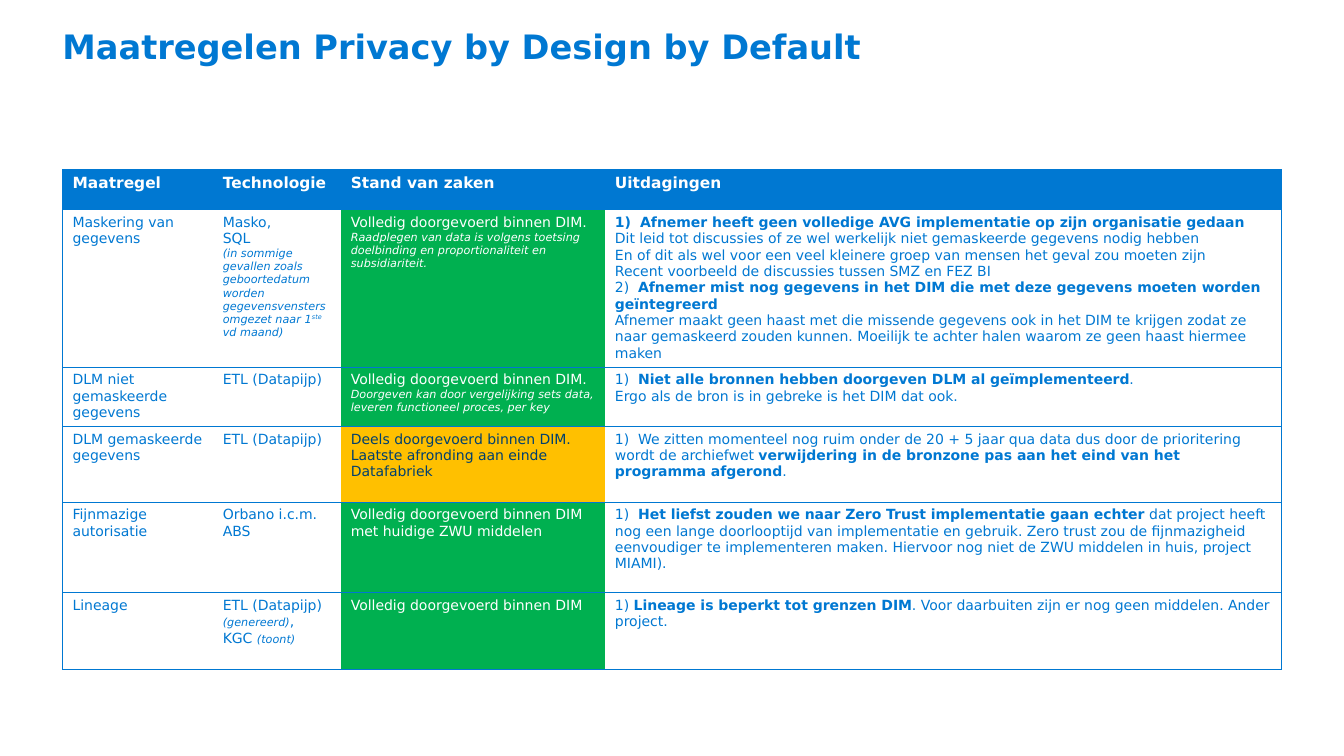
from pptx import Presentation
from pptx.dml.color import RGBColor
from pptx.oxml.ns import qn
from pptx.util import Inches, Pt
from lxml.etree import SubElement, Element

BLUE, NAVY, WHITE = "0078D2", "00406E", "FFFFFF"
GREEN, AMBER = "00B050", "FFC000"
BOLD, SMALL, RAISED = "bold", "small", "raised"

COLUMN_WIDTHS = [1.49, 1.27, 2.62, 6.71]
ROW_HEIGHTS = [0.4, 1.56, 0.59, 0.75, 0.9, 0.76]
HEADERS = ["Maatregel", "Technologie", "Stand van zaken", "Uitdagingen"]
DONE = "Volledig doorgevoerd binnen DIM"

# A cell is a list of paragraphs, a paragraph a list of runs: plain text or (text, style).
# Each row: measure, technology, status, challenges, status fill, status text colour.
MEASURES = [
    ([["Maskering van gegevens"]],
     [["Masko,"], ["SQL"],
      [("(in sommige gevallen zoals geboortedatum worden gegevensvensters omgezet naar 1", SMALL),
       ("ste ", RAISED), ("vd maand)", SMALL)]],
     [[DONE + ". ", ("Raadplegen van data is volgens toetsing doelbinding en "
                     "proportionaliteit en subsidiariteit.", SMALL)]],
     [[("Afnemer heeft geen volledige AVG implementatie op zijn organisatie gedaan", BOLD)],
      ["Dit leid tot discussies of ze wel werkelijk niet gemaskeerde gegevens nodig hebben"],
      ["En of dit als wel voor een veel kleinere groep van mensen het geval zou moeten zijn"],
      ["Recent voorbeeld de discussies tussen SMZ en FEZ BI"],
      ["2)  ", ("Afnemer mist nog gegevens in het DIM die met deze gegevens moeten worden "
                "geïntegreerd", BOLD)],
      ["Afnemer maakt geen haast met die missende gegevens ook in het DIM te krijgen zodat ze "
       "naar gemaskeerd zouden kunnen. Moeilijk te achter halen waarom ze geen haast hiermee "
       "maken"]],
     GREEN, WHITE),
    ([["DLM niet gemaskeerde gegevens"]],
     [["ETL (Datapijp)"]],
     [[DONE + "."], [("Doorgeven kan door vergelijking sets data, leveren functioneel proces, "
                      "per key", SMALL)]],
     [["1)  ", ("Niet alle bronnen hebben doorgeven DLM al geïmplementeerd", BOLD), "."],
      ["Ergo als de bron is in gebreke is het DIM dat ook."]],
     GREEN, WHITE),
    ([["DLM gemaskeerde gegevens"]],
     [["ETL (Datapijp)"]],
     [["Deels doorgevoerd binnen DIM. Laatste afronding aan einde Datafabriek"]],
     [["1)  We zitten momenteel nog ruim onder de 20 + 5 jaar qua data dus door de prioritering "
       "wordt de archiefwet ",
       ("verwijdering in de bronzone pas aan het eind van het programma afgerond", BOLD), "."]],
     AMBER, NAVY),
    ([["Fijnmazige autorisatie"]],
     [["Orbano i.c.m. ABS"]],
     [[DONE + " met huidige ZWU middelen"]],
     [["1)  ", ("Het liefst zouden we naar Zero Trust implementatie gaan echter ", BOLD),
       "dat project heeft nog een lange doorlooptijd van implementatie en gebruik. Zero trust "
       "zou de fijnmazigheid eenvoudiger te implementeren maken. Hiervoor nog niet de ZWU "
       "middelen in huis, project MIAMI)."]],
     GREEN, WHITE),
    ([["Lineage"]],
     [["ETL (Datapijp) ", ("(genereerd)", SMALL), ","], ["KGC ", ("(toont)", SMALL)]],
     [[DONE]],
     [["1) ", ("Lineage is beperkt tot grenzen DIM", BOLD),
       ". Voor daarbuiten zijn er nog geen middelen. Ander project."]],
     GREEN, WHITE),
]


def rgb(value):
    return RGBColor.from_string(value)


class SlideBuilder:
    font = "DejaVu Sans"

    def __init__(self, slide):
        self.slide = slide

    def add_text(self, frame, paragraphs, size, color):
        for index, runs in enumerate(paragraphs):
            paragraph = frame.paragraphs[0] if index == 0 else frame.add_paragraph()
            for item in runs:
                text, style = (item, None) if isinstance(item, str) else item
                run = paragraph.add_run()
                run.text = text
                small = style in (SMALL, RAISED)
                run.font.name = self.font
                run.font.size = Pt(8 if small else size)
                run.font.bold = style == BOLD
                run.font.italic = small
                run.font.color.rgb = rgb(color)
                if style == RAISED:
                    run._r.get_or_add_rPr().set("baseline", "30000")

    def number(self, paragraph):
        """Give the paragraph an automatic "1)" with a hanging indent."""
        properties = paragraph._p.get_or_add_pPr()
        properties.set("marL", str(Inches(0.25)))
        properties.set("indent", str(-Inches(0.25)))
        SubElement(properties, qn("a:buAutoNum"), type="arabicParenR")

    def title(self, text, left, top, width, height):
        frame = self.slide.shapes.add_textbox(
            Inches(left), Inches(top), Inches(width), Inches(height)).text_frame
        frame.word_wrap = True
        frame.margin_left = frame.margin_right = frame.margin_top = frame.margin_bottom = 0
        self.add_text(frame, [[(text, BOLD)]], 24, BLUE)

    def table(self, left, top, widths, heights):
        table = self.slide.shapes.add_table(
            len(heights), len(widths), Inches(left), Inches(top),
            Inches(sum(widths)), Inches(sum(heights))).table
        table.horz_banding = False
        for column, width in zip(table.columns, widths):
            column.width = Inches(width)
        for row, height in zip(table.rows, heights):
            row.height = Inches(height)
        return table

    def cell(self, cell, paragraphs, size, color, fill, sides):
        if fill:
            cell.fill.solid()
            cell.fill.fore_color.rgb = rgb(fill)
        else:
            cell.fill.background()
        self.borders(cell, sides)
        self.add_text(cell.text_frame, paragraphs, size, color)

    def borders(self, cell, sides):
        """Draw the named sides (of L, R, T, B) and clear the others."""
        properties = cell._tc.get_or_add_tcPr()
        for index, side in enumerate("LRTB"):
            line = Element(qn("a:ln" + side), w=str(Pt(0.5)))
            if side in sides:
                solid = SubElement(line, qn("a:solidFill"))
                SubElement(solid, qn("a:srgbClr"), val=BLUE)
            else:
                SubElement(line, qn("a:noFill"))
            properties.insert(index, line)


def main():
    presentation = Presentation()
    presentation.slide_width, presentation.slide_height = Inches(13.33), Inches(7.5)
    builder = SlideBuilder(presentation.slides.add_slide(presentation.slide_layouts[6]))

    table = builder.table(0.62, 1.68, COLUMN_WIDTHS, ROW_HEIGHTS)
    outer_sides = ["LTB", "TB", "TB", "RTB"]
    for column, header in enumerate(HEADERS):
        builder.cell(table.cell(0, column), [[(header, BOLD)]], 11, WHITE, BLUE,
                     outer_sides[column])
    for row, (*texts, status_fill, status_color) in enumerate(MEASURES, start=1):
        for column, paragraphs in enumerate(texts):
            is_status = HEADERS[column] == "Stand van zaken"
            builder.cell(table.cell(row, column), paragraphs, 10,
                         status_color if is_status else BLUE,
                         status_fill if is_status else None, outer_sides[column])
    builder.number(table.cell(1, 3).text_frame.paragraphs[0])

    builder.title("Maatregelen Privacy by Design by Default", 0.62, 0.26, 9.23, 1.35)
    presentation.save("out.pptx")


if __name__ == "__main__":
    main()
